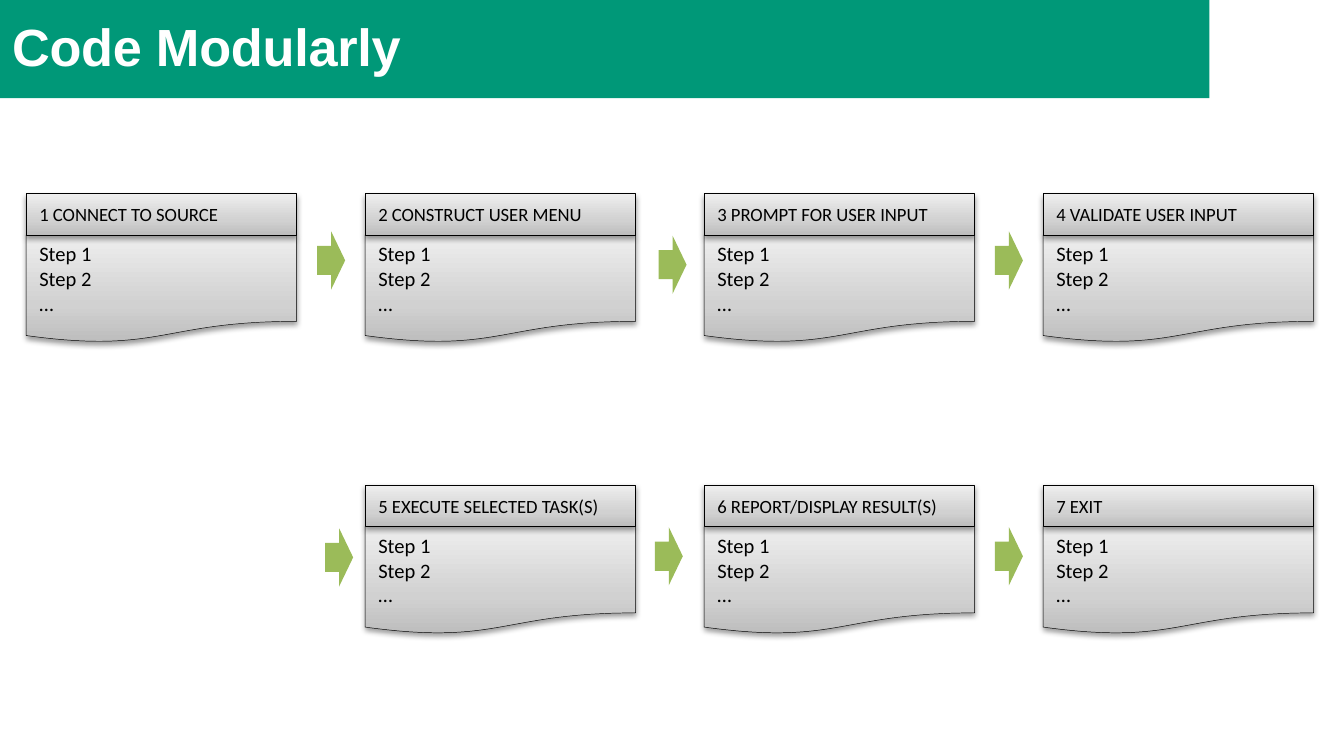
from lxml import etree
from pptx import Presentation
from pptx.dml.color import RGBColor
from pptx.enum.shapes import MSO_SHAPE as Preset
from pptx.enum.text import MSO_ANCHOR as Anchor, PP_ALIGN as Align
from pptx.oxml import parse_xml
from pptx.oxml.ns import nsdecls, qn
from pptx.util import Pt

COLORS = {
    "banner": "009878",
    "arrow": "9BBB59",
    "ink": "000000",
    "title": "FFFFFF",
}
GRADIENT = [(0, "BDBDBD"), (35, "D1D1D1"), (100, "EEEEEE")]
STEPS = ["Step 1", "Step 2", "…"]
CARDS = [
    (0, 0, "1 CONNECT TO SOURCE"),
    (1, 0, "2 CONSTRUCT USER MENU"),
    (2, 0, "3 PROMPT FOR USER INPUT"),
    (3, 0, "4 VALIDATE USER INPUT"),
    (1, 1, "5 EXECUTE SELECTED TASK(S)"),
    (2, 1, "6 REPORT/DISPLAY RESULT(S)"),
    (3, 1, "7 EXIT"),
]
ARROWS = [
    (169.9, 123.9), (352.8, 126.2), (533, 123.9),
    (174.2, 283), (350.8, 282.4), (533, 282.4),
]
CARD_LEFT, CARD_STEP, CARD_WIDTH = 14, 181.6, 144.9
CARD_TOP, ROW_STEP = 103.7, 156.2
HEADER_HEIGHT, BODY_HEIGHT = 22.3, 57.6


def add_panel(shapes, preset, left, top, height, line_width, lines, size):
    shape = shapes.add_shape(preset, Pt(left), Pt(top), Pt(CARD_WIDTH), Pt(height))
    shape.shadow.inherit = False
    properties = shape._element.spPr
    stops = "".join(
        f'<a:gs pos="{position * 1000}"><a:srgbClr val="{color}"/></a:gs>'
        for position, color in GRADIENT
    )
    properties.find(qn("a:prstGeom")).addnext(parse_xml(
        f'<a:gradFill {nsdecls("a")} rotWithShape="1"><a:gsLst>{stops}</a:gsLst>'
        '<a:lin ang="16200000" scaled="0"/></a:gradFill>'
    ))
    shape.line.color.rgb = RGBColor.from_string(COLORS["ink"])
    shape.line.width = Pt(line_width)
    shadow = etree.SubElement(
        properties.find(qn("a:effectLst")), qn("a:outerShdw"),
        blurRad=str(Pt(3.1)), dist=str(Pt(1.6)), dir="5400000", rotWithShape="0",
    )
    shadow_color = etree.SubElement(shadow, qn("a:srgbClr"), val=COLORS["ink"])
    etree.SubElement(shadow_color, qn("a:alpha"), val="38000")

    frame = shape.text_frame
    frame.word_wrap = True
    frame.vertical_anchor = Anchor.MIDDLE
    for index, line in enumerate(lines):
        paragraph = frame.add_paragraph() if index else frame.paragraphs[0]
        paragraph.alignment = Align.LEFT
        run = paragraph.add_run()
        run.text = line
        run.font.name = "Calibri"
        run.font.size = Pt(size)
        run.font.color.rgb = RGBColor.from_string(COLORS["ink"])


def add_plain_shape(preset, left, top, width, height, color):
    shape = slide.shapes.add_shape(preset, Pt(left), Pt(top), Pt(width), Pt(height))
    shape.shadow.inherit = False
    shape.fill.solid()
    shape.fill.fore_color.rgb = RGBColor.from_string(color)
    shape.line.fill.background()


presentation = Presentation()
presentation.slide_width = Pt(720)
presentation.slide_height = Pt(405)
slide = presentation.slides.add_slide(presentation.slide_layouts[6])

add_plain_shape(Preset.RECTANGLE, 0, 0, 648, 52.6, COLORS["banner"])

for column, row, heading in CARDS:
    left = CARD_LEFT + column * CARD_STEP
    top = CARD_TOP + row * ROW_STEP
    card = slide.shapes.add_group_shape()
    add_panel(card.shapes, Preset.FLOWCHART_DOCUMENT, left, top + HEADER_HEIGHT,
              BODY_HEIGHT, 0.25, STEPS, 11)
    add_panel(card.shapes, Preset.RECTANGLE, left, top,
              HEADER_HEIGHT, 0.5, [heading], 10)

title = slide.shapes.add_textbox(Pt(5.8), Pt(6.5), Pt(288), Pt(35.3))
frame = title.text_frame
frame.word_wrap = True
frame.margin_left = frame.margin_right = frame.margin_bottom = 0
frame.margin_top = Pt(1)
paragraph = frame.paragraphs[0]
paragraph._p.get_or_add_pPr().set("marL", str(Pt(0.7)))
run = paragraph.add_run()
run.text = "Code Modularly"
run.font.name = "Arial"
run.font.size = Pt(28)
run.font.bold = True
run.font.color.rgb = RGBColor.from_string(COLORS["title"])
run._r.get_or_add_rPr().set("spc", "-10")

for left, top in ARROWS:
    add_plain_shape(Preset.RIGHT_ARROW, left, top, 15, 31.2, COLORS["arrow"])

presentation.save("out.pptx")
